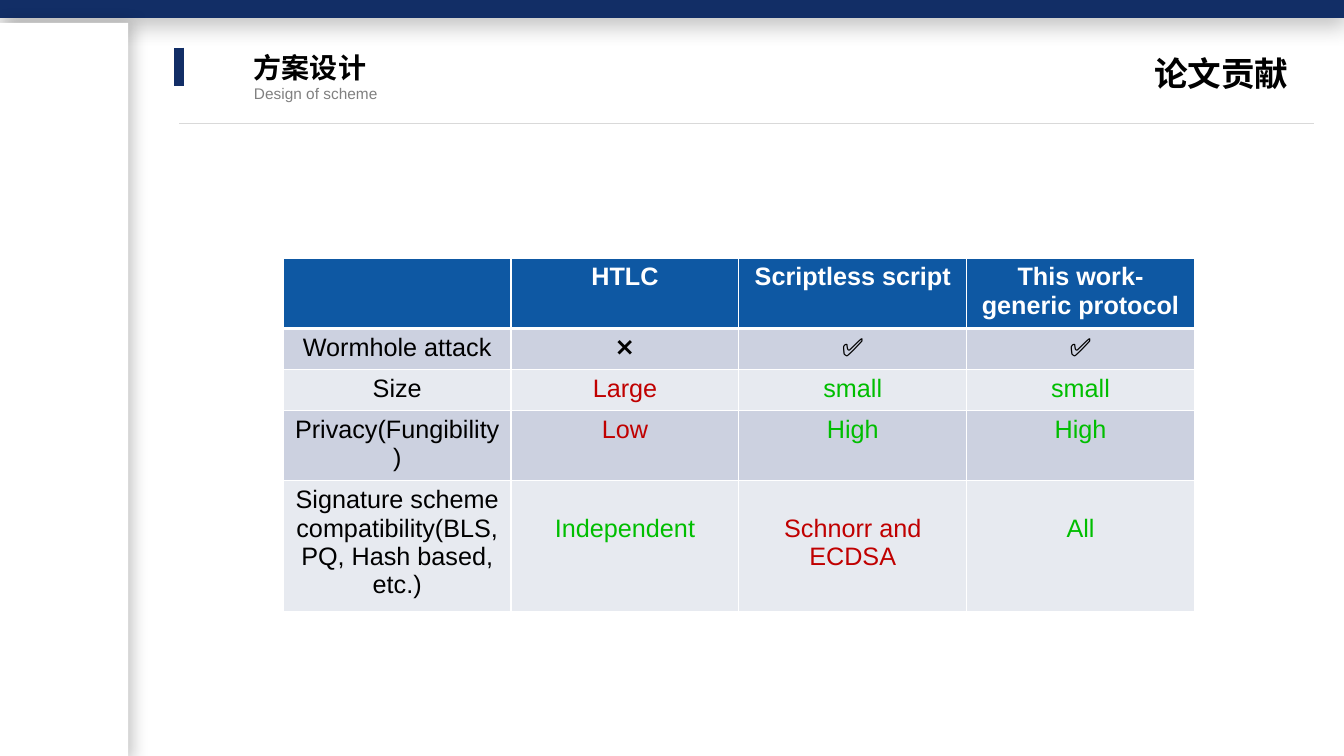
from lxml.etree import SubElement
from pptx import Presentation
from pptx.dml.color import RGBColor
from pptx.enum.shapes import MSO_CONNECTOR, MSO_SHAPE
from pptx.enum.text import MSO_AUTO_SIZE, PP_ALIGN
from pptx.oxml.ns import qn
from pptx.util import Cm, Pt

NAVY = RGBColor(0x12, 0x2E, 0x66)
BLUE = RGBColor(0x0E, 0x58, 0xA3)
BAND_DARK = RGBColor(0xCC, 0xD1, 0xE0)
BAND_LIGHT = RGBColor(0xE7, 0xEA, 0xF0)
WHITE = RGBColor(0xFF, 0xFF, 0xFF)
BLACK = RGBColor(0, 0, 0)
GREY = RGBColor(0x80, 0x80, 0x80)
RULE = RGBColor(0xD9, 0xD9, 0xD9)
RED = RGBColor(0xC0, 0, 0)
GREEN = RGBColor(0, 0xBE, 0)
LATIN, CJK = "Arial", "Noto Sans CJK SC"

# Content: the comparison table and the colour of each rating
ROWS = [
    ("", "HTLC", "Scriptless script", "This work-generic protocol"),
    ("Wormhole attack", "❌", "✅", "✅"),
    ("Size", "Large", "small", "small"),
    ("Privacy(Fungibility)", "Low", "High", "High"),
    ("Signature scheme compatibility(BLS, PQ, Hash based, etc.)",
     "Independent", "Schnorr and ECDSA", "All"),
]
RATING = {"Large": RED, "Low": RED, "Schnorr and ECDSA": RED,
          "small": GREEN, "High": GREEN, "Independent": GREEN, "All": GREEN}
ROW_HEIGHTS = (1.76, 1.03, 1.03, 1.76, 3.3)
COL_WIDTH = 5.74
# text, left, top, width, height, size, font, colour, bold, alignment, line spacing
HEADINGS = [
    ("方案设计", 6.15, 1.14, 7.29, 1.12, 20, CJK, BLACK, True, PP_ALIGN.LEFT, 1),
    ("Design of scheme", 6.15, 1.9, 6.5, 0.76, 11, LATIN, GREY, False, PP_ALIGN.LEFT, 1.2),
    ("论文贡献", 10.16, 0.71, 22.56, 1.63, 24, CJK, BLACK, True, PP_ALIGN.RIGHT, 1.5),
]


def add_panel(s, left, top, width, height, color, alpha, blur, angle):
    sp = s.shapes.add_shape(MSO_SHAPE.RECTANGLE, Cm(left), Cm(top), Cm(width), Cm(height))
    sp.fill.solid()
    sp.fill.fore_color.rgb = color
    sp.line.fill.background()
    sp.shadow.inherit = False
    effects = sp._element.spPr.find(qn("a:effectLst"))
    shadow = SubElement(effects, qn("a:outerShdw"), blurRad=str(Pt(blur)),
                        dist=str(Pt(3)), dir=str(angle * 60000), rotWithShape="0")
    clr = SubElement(shadow, qn("a:srgbClr"), val=str(BLACK))
    SubElement(clr, qn("a:alpha"), val=str(alpha * 1000))


def add_line(s, x1, y1, x2, y2, color, width):
    line = s.shapes.add_connector(MSO_CONNECTOR.STRAIGHT, Cm(x1), Cm(y1), Cm(x2), Cm(y2))
    line.line.color.rgb = color
    line.line.width = Pt(width)
    SubElement(line._element.spPr, qn("a:effectLst"))


def format_run(r, size, font, color, bold):
    r.font.size = Pt(size)
    r.font.name = font
    r.font.bold = bold
    r.font.color.rgb = color
    SubElement(r._r.get_or_add_rPr(), qn("a:ea"), typeface=font)


def add_heading(s, text, left, top, width, height, size, font, color, bold, align, spacing):
    tf = s.shapes.add_textbox(Cm(left), Cm(top), Cm(width), Cm(height)).text_frame
    tf.word_wrap = True
    tf.auto_size = MSO_AUTO_SIZE.SHAPE_TO_FIT_TEXT
    p = tf.paragraphs[0]
    p.text = text
    p.alignment = align
    p.line_spacing = spacing
    format_run(p.runs[0], size, font, color, bold)


def set_borders(cell, top, bottom):
    tc_pr = cell._tc.get_or_add_tcPr()
    for side, width in (("L", 1), ("R", 1), ("T", top), ("B", bottom)):
        ln = SubElement(tc_pr, qn(f"a:ln{side}"), w=str(Pt(width)))
        SubElement(SubElement(ln, qn("a:solidFill")), qn("a:srgbClr"), val=str(WHITE))


def add_comparison(s):
    table = s.shapes.add_table(len(ROWS), len(ROWS[0]), Cm(7.14), Cm(6.5),
                               Cm(COL_WIDTH * len(ROWS[0])), Cm(sum(ROW_HEIGHTS))).table
    for column in table.columns:
        column.width = Cm(COL_WIDTH)
    for i, (texts, height) in enumerate(zip(ROWS, ROW_HEIGHTS)):
        table.rows[i].height = Cm(height)
        header = i == 0
        for j, text in enumerate(texts):
            cell = table.cell(i, j)
            set_borders(cell, 3 if i == 1 else 1, 3 if header else 1)
            cell.fill.solid()
            cell.fill.fore_color.rgb = BLUE if header else BAND_DARK if i % 2 else BAND_LIGHT
            # Ratings in the last row start one line lower
            if i == len(ROWS) - 1 and j > 0:
                cell.margin_top = Cm(0.84)
            p = cell.text_frame.paragraphs[0]
            p.text = text
            p.alignment = PP_ALIGN.CENTER
            for r in p.runs:
                format_run(r, 18, LATIN, WHITE if header else RATING.get(text, BLACK), header)


def main():
    prs = Presentation()
    prs.slide_width, prs.slide_height = Cm(33.87), Cm(19.05)
    s = prs.slides.add_slide(prs.slide_layouts[6])

    # Frame: top bar, accent, rule and side panel
    add_panel(s, 0, -0.03, 33.87, 0.48, NAVY, 29, 17, 90)
    add_line(s, 4.52, 1.2, 4.52, 2.16, NAVY, 7.25)
    add_line(s, 4.52, 3.12, 33.12, 3.12, RULE, 0.5)
    add_panel(s, 0, 0.58, 3.23, 18.57, WHITE, 22, 11, 0)

    # Headings and table
    for heading in HEADINGS:
        add_heading(s, *heading)
    add_comparison(s)
    prs.save("out.pptx")


if __name__ == "__main__":
    main()
